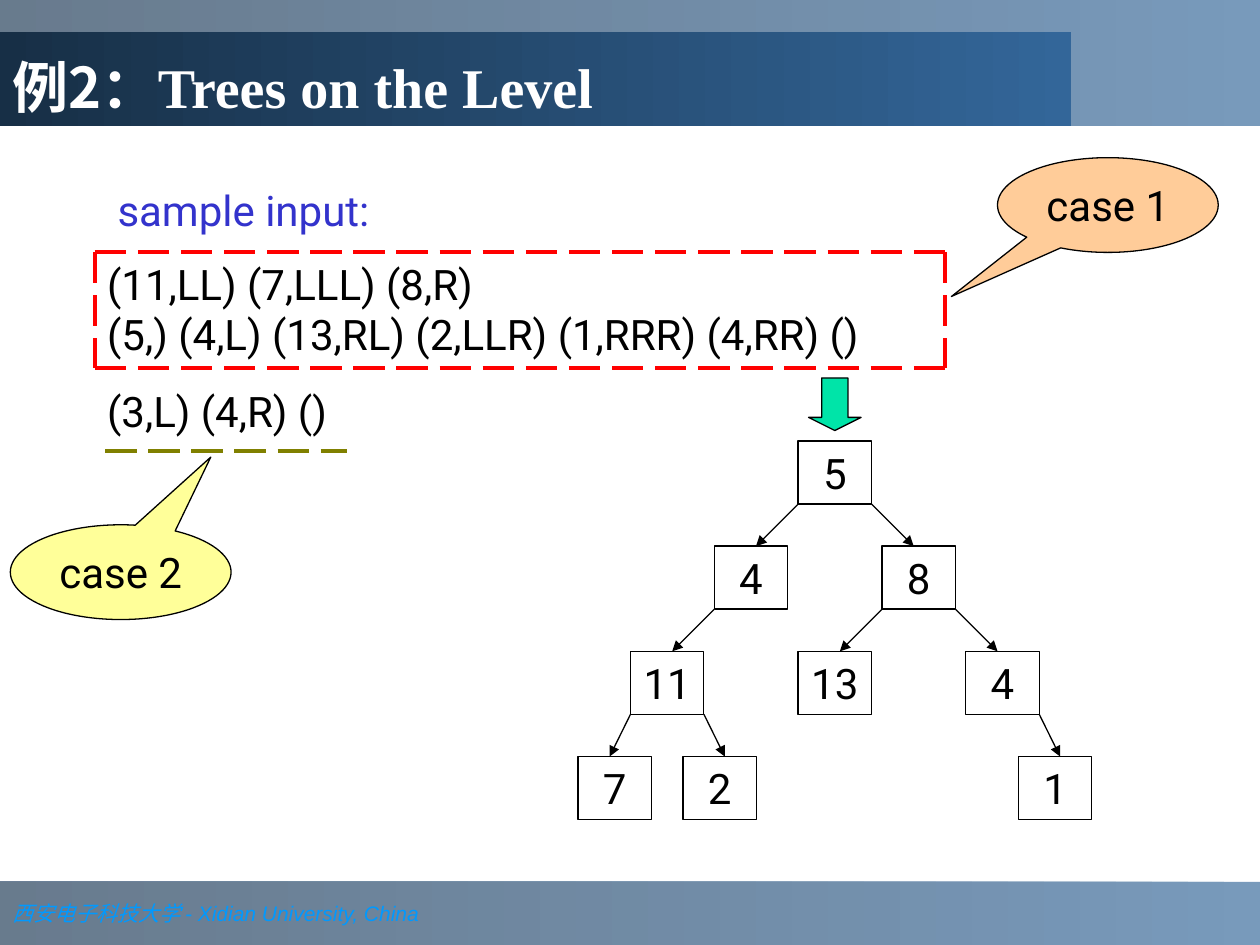
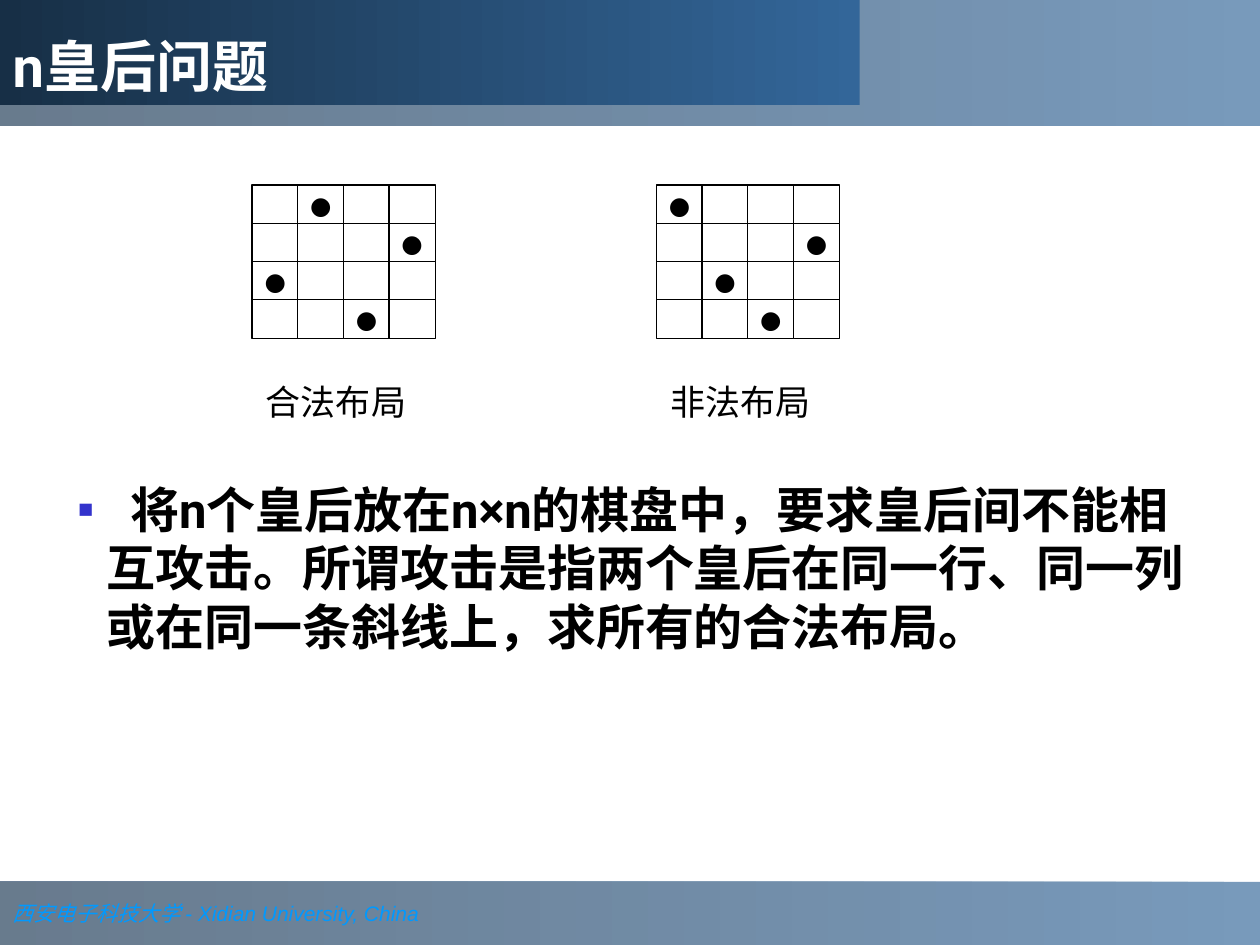
from lxml import etree
from pptx import Presentation
from pptx.dml.color import RGBColor
from pptx.enum import dml, shapes, text
from pptx.oxml.ns import qn
from pptx.util import Cm, Pt

SLIDE_W, SLIDE_H = 25.4, 19.05
BLACK, WHITE, BLUE, RED, OLIVE = "000000", "FFFFFF", "3333CC", "FF0000", "808000"
BAND_COLOURS = ("336699", "1B3753")
TITLE_COLOURS = ("336699", "172F46")
FOOTER = [("西安电子科技大学 ", "Times New Roman"), ("- Xidian University, China", "Arial")]

LEVEL_TITLE = [("例2：", "Noto Sans CJK SC"), ("Trees on the Level", "Times New Roman")]
SAMPLE_HEADING = "sample input:"
SAMPLE_CASES = [
    "(11,LL) (7,LLL) (8,R)\n(5,) (4,L) (13,RL) (2,LLR) (1,RRR) (4,RR) ()",
    "(3,L) (4,R) ()",
]
CASE_CALLOUTS = [
    ("case 1", 20.11, 3.18, "FFCC99", (-0.709, 0.965)),
    ("case 2", 0.21, 10.58, "FFFF99", (0.408, -1.215)),
]
TREE = {"": 5, "L": 4, "R": 8, "LL": 11, "RL": 13, "RR": 4, "LLL": 7, "LLR": 2, "RRR": 1}
ROOT_X, ROOT_Y, LEVEL_STEP = 16.83, 8.89, 2.12
NODE_W, NODE_H = 1.48, 1.27
CHILD_SHIFTS = [1.69, 1.69, 1.06]
EDGE_RUNS = [0.85, 0.85, 0.42]

QUEENS_TITLE = [("n皇后问题", "Roboto")]
BOARDS = [("合法布局", 5.08, [1, 3, 0, 2]), ("非法布局", 13.23, [0, 3, 1, 2])]
BOARD_TOP, COL_STEP, ROW_STEP, CELL_W, CELL_H = 3.73, 0.92, 0.77, 0.94, 0.79
QUEENS_RULE = "将n个皇后放在n×n的棋盘中，要求皇后间不能相互攻击。所谓攻击是指两个皇后在同一行、同一列或在同一条斜线上，求所有的合法布局。"


def rgb(value):
    return RGBColor.from_string(value)


def box(*lengths):
    return [Cm(length) for length in lengths]


def style(font, size, colour, name=None, bold=False, italic=False):
    font.size, font.bold, font.italic = Pt(size), bold, italic
    font.color.rgb = rgb(colour)
    if name:
        font.name = name


def write_runs(paragraph, runs, size, colour, **look):
    paragraph.alignment = text.PP_ALIGN.LEFT
    style(paragraph.font, size, colour, **look)
    for words, name in runs:
        run = paragraph.add_run()
        run.text, run.font.name = words, name


def shade(shape, colours, alpha=None):
    shape.fill.gradient()
    shape.fill.gradient_angle = 180
    for stop, colour in zip(shape.fill.gradient_stops, colours):
        stop.color.rgb = rgb(colour)
    if alpha:
        for colour in shape.element.spPr.iter(qn("a:srgbClr")):
            etree.SubElement(colour, qn("a:alpha"), val=str(alpha * 1000))


def add_block(slide, kind, place, fill, words="", size=24):
    block = slide.shapes.add_shape(kind, *box(*place))
    block.shadow.inherit = False
    block.fill.solid()
    block.fill.fore_color.rgb = rgb(fill)
    block.line.color.rgb, block.line.width = rgb(BLACK), Pt(0.75)
    if words:
        frame = block.text_frame
        frame.word_wrap = False
        frame.vertical_anchor = text.MSO_ANCHOR.MIDDLE
        frame.margin_left = frame.margin_right = frame.margin_top = frame.margin_bottom = 0
        label = frame.paragraphs[0]
        label.text, label.alignment = words, text.PP_ALIGN.CENTER
        style(label.font, size, BLACK, "Roboto")
    return block


def add_line(slide, start, end, colour=BLACK, width=0.75, dashed=False, arrow=False):
    line = slide.shapes.add_connector(shapes.MSO_CONNECTOR.STRAIGHT, *box(*start, *end))
    line.line.color.rgb, line.line.width = rgb(colour), Pt(width)
    if dashed:
        line.line.dash_style = dml.MSO_LINE.LONG_DASH
    properties = line.element.spPr
    if arrow:
        etree.SubElement(properties.find(qn("a:ln")), qn("a:tailEnd"), type="triangle")
    etree.SubElement(properties, qn("a:effectLst"))


def add_text(slide, place, lines, size, colour=BLACK, align=text.PP_ALIGN.LEFT, gap=15):
    frame = slide.shapes.add_textbox(*box(*place)).text_frame
    frame.word_wrap = True
    for index, words in enumerate(lines):
        paragraph = frame.add_paragraph() if index else frame.paragraphs[0]
        paragraph.text, paragraph.alignment = words, align
        paragraph.space_before = Pt(gap if index else 0)
        style(paragraph.font, size, colour, "Roboto")


def add_bands(prs, slide):
    bands = []
    for top, height in ((0, 2.54), (17.78, 1.27)):
        band = slide.shapes.add_shape(shapes.MSO_SHAPE.RECTANGLE, *box(0, top, SLIDE_W, height))
        band.shadow.inherit = False
        band.line.fill.background()
        shade(band, BAND_COLOURS, 66)
        bands.append(band)
    footer = bands[-1].text_frame
    footer.vertical_anchor = text.MSO_ANCHOR.MIDDLE
    write_runs(footer.paragraphs[0], FOOTER, 12, "0099FF", italic=True)
    for band in bands:
        prs.slide_master.shapes.element.insert(2, band.element)


def set_title(slide, runs, place):
    title = slide.shapes.title
    title.left, title.top, title.width, title.height = box(*place)
    shade(title, TITLE_COLOURS)
    frame = title.text_frame
    frame.auto_size = text.MSO_AUTO_SIZE.NONE
    frame.vertical_anchor = text.MSO_ANCHOR.BOTTOM
    write_runs(frame.paragraphs[0], runs, 32, WHITE, bold=True)


def add_tree(slide):
    centres = {}
    for route, value in TREE.items():
        depth = len(route)
        top = ROOT_Y + depth * LEVEL_STEP
        centre = ROOT_X
        if route:
            parent = centres[route[:-1]]
            side = -1 if route[-1] == "L" else 1
            centre = parent + side * CHILD_SHIFTS[depth - 1]
            corner = parent + side * NODE_W / 2
            add_line(slide, (corner, top - LEVEL_STEP + NODE_H),
                     (corner + side * EDGE_RUNS[depth - 1], top), arrow=True)
        centres[route] = centre
        add_block(slide, shapes.MSO_SHAPE.RECTANGLE,
                  (centre - NODE_W / 2, top, NODE_W, NODE_H), WHITE, str(value))


def build_levels(slide):
    set_title(slide, LEVEL_TITLE, (0, 0.64, 21.59, 1.9))
    add_text(slide, (1.91, 5.08, 18.2, 3.84), SAMPLE_CASES, 24)
    add_text(slide, (2.12, 3.6, 5.93, 1.3), [SAMPLE_HEADING], 24, BLUE)
    left, top, right, bottom = 1.91, 5.08, 19.05, 7.41
    for start, end in (((left, top), (left, bottom)), ((left, bottom), (right, bottom)),
                       ((left, top), (right, top)), ((right, top), (right, bottom))):
        add_line(slide, start, end, RED, 2.25, dashed=True)
    add_line(slide, (2.12, 9.1), (6.99, 9.1), OLIVE, 2.25, dashed=True)
    for words, x, y, fill, pointer in CASE_CALLOUTS:
        callout = add_block(slide, shapes.MSO_SHAPE.OVAL_CALLOUT, (x, y, 4.45, 1.91), fill, words)
        callout.adjustments[0], callout.adjustments[1] = pointer
    arrow = add_block(slide, shapes.MSO_SHAPE.DOWN_ARROW, (16.3, 7.62, 1.06, 1.06), "00E4A8")
    arrow.adjustments[0], arrow.adjustments[1] = 0.5, 0.25
    add_tree(slide)


def build_queens(slide):
    set_title(slide, QUEENS_TITLE, (0, 0, 17.33, 2.12))
    for caption, left, queens in BOARDS:
        for row, queen in enumerate(queens):
            for col in range(len(queens)):
                place = (left + col * COL_STEP, BOARD_TOP + row * ROW_STEP, CELL_W, CELL_H)
                add_block(slide, shapes.MSO_SHAPE.RECTANGLE, place, WHITE,
                          "●" if col == queen else "", 14)
        add_text(slide, (left - 0.21, 7.54, 3.81, 1.11), [caption], 20, align=text.PP_ALIGN.CENTER)
    rule = slide.placeholders[1]
    rule.left, rule.top, rule.width, rule.height = box(1.3, 9.53, 22.81, 3.81)
    rule.text_frame.auto_size = text.MSO_AUTO_SIZE.NONE
    paragraph = rule.text_frame.paragraphs[0]
    paragraph.text = "\t" + QUEENS_RULE
    properties = paragraph._p.get_or_add_pPr()
    properties.set("marL", str(Cm(0.6)))
    properties.set("indent", str(-Cm(0.6)))
    bullet_colour = etree.SubElement(properties, qn("a:buClr"))
    etree.SubElement(bullet_colour, qn("a:srgbClr"), val=BLUE)
    etree.SubElement(properties, qn("a:buFont"), typeface="Arial")
    etree.SubElement(properties, qn("a:buChar"), char="▪")
    tabs = etree.SubElement(properties, qn("a:tabLst"))
    etree.SubElement(tabs, qn("a:tab"), pos=str(Cm(1.07)), algn="l")
    paragraph.space_before = Pt(0)
    style(paragraph.font, 28, BLACK, "Roboto", bold=True)


def main():
    prs = Presentation()
    prs.slide_width, prs.slide_height = box(SLIDE_W, SLIDE_H)
    levels = prs.slides.add_slide(prs.slide_layouts[5])
    queens = prs.slides.add_slide(prs.slide_layouts[1])
    add_bands(prs, levels)
    build_levels(levels)
    build_queens(queens)
    prs.save("out.pptx")


if __name__ == "__main__":
    main()
